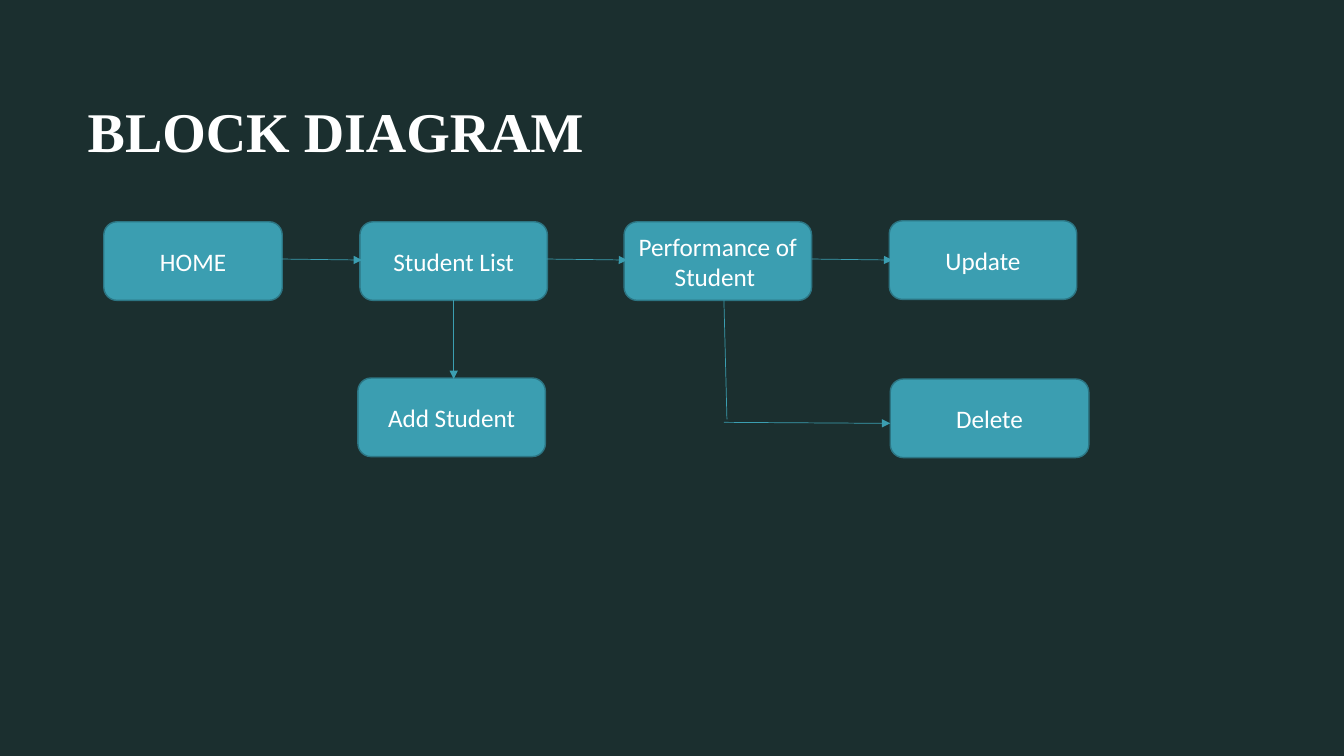
from lxml import etree
from pptx import Presentation
from pptx.dml.color import RGBColor
from pptx.enum.shapes import MSO_CONNECTOR, MSO_SHAPE
from pptx.enum.text import MSO_ANCHOR, MSO_AUTO_SIZE, PP_ALIGN
from pptx.oxml.ns import qn
from pptx.util import Pt

EMU_PER_PX = 9144
TITLE_ONLY = 5
ROUNDED = MSO_SHAPE.ROUNDED_RECTANGLE
STRAIGHT = MSO_CONNECTOR.STRAIGHT
MIDDLE = MSO_ANCHOR.MIDDLE
NO_AUTOFIT = MSO_AUTO_SIZE.NONE
LEFT = PP_ALIGN.LEFT
CENTER = PP_ALIGN.CENTER

BACKGROUND = "1B2F2F"
WHITE = "FFFFFF"
TEAL = "3B9EB1"
DARK_TEAL = "2C7583"

BLOCK_HEIGHT = 78
BLOCKS = [
    ("HOME", 103, 220, 177),
    ("Student List", 357, 220, 186),
    ("Add Student", 355, 375, 186),
    ("Performance of Student ", 619, 220, 186),
    ("Update", 882, 219, 186),
    ("Delete", 883, 376, 197),
]
ARROWS = [
    *((left, 257, left + 80, 258) for left in (279, 542, 805)),
    (450, 298, 450, 376),
    (718, 419, 883, 420),
]
DELETE_STEM = (718, 298, 721, 416)


def px(value):
    return value * EMU_PER_PX


def color(value):
    return RGBColor.from_string(value)


def set_text(shape, text, font_name, size, alignment, bold=False):
    frame = shape.text_frame
    frame.text = text
    frame.word_wrap = True
    frame.auto_size = NO_AUTOFIT
    frame.vertical_anchor = MIDDLE
    paragraph = frame.paragraphs[0]
    paragraph.alignment = alignment
    font = paragraph.runs[0].font
    font.name = font_name
    font.size = Pt(size)
    font.bold = bold
    font.color.rgb = color(WHITE)


def add_title(slide, text):
    title = slide.shapes.title
    title.left, title.top = px(77), px(84)
    title.width, title.height = px(929), px(91)
    set_text(title, text, "Times New Roman", 40, LEFT, bold=True)


def add_block(slide, text, left, top, width):
    block = slide.shapes.add_shape(
        ROUNDED, px(left), px(top), px(width), px(BLOCK_HEIGHT))
    block.shadow.inherit = False
    block.fill.solid()
    block.fill.fore_color.rgb = color(TEAL)
    block.line.color.rgb = color(DARK_TEAL)
    block.line.width = Pt(1)
    set_text(block, text, "Calibri", 18, CENTER)


def add_line(slide, points, arrow=True):
    connector = slide.shapes.add_connector(STRAIGHT, *map(px, points))
    connector.line.color.rgb = color(TEAL)
    connector.line.width = Pt(0.5)
    properties = connector._element.spPr
    if arrow:
        outline = properties.find(qn("a:ln"))
        etree.SubElement(outline, qn("a:tailEnd"), type="triangle")
    etree.SubElement(properties, qn("a:effectLst"))


def main():
    presentation = Presentation()
    presentation.slide_width = px(1333)
    presentation.slide_height = px(750)
    slide = presentation.slides.add_slide(
        presentation.slide_layouts[TITLE_ONLY])
    slide.background.fill.solid()
    slide.background.fill.fore_color.rgb = color(BACKGROUND)

    add_title(slide, "BLOCK DIAGRAM")
    for block in BLOCKS:
        add_block(slide, *block)
    for arrow in ARROWS:
        add_line(slide, arrow)
    add_line(slide, DELETE_STEM, arrow=False)

    presentation.save("out.pptx")


if __name__ == "__main__":
    main()
